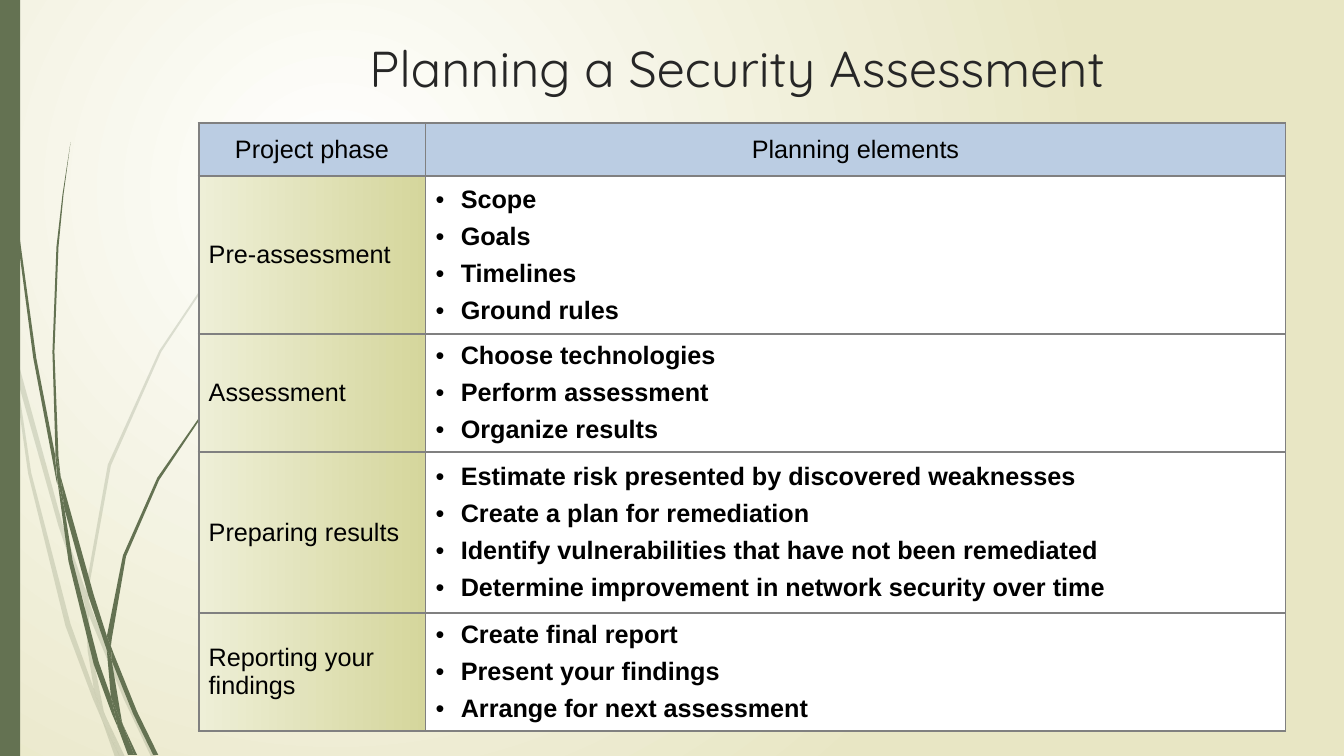
from pptx import Presentation
from pptx.dml.color import RGBColor as Rgb
from pptx.enum.shapes import MSO_SHAPE as Shape
from pptx.enum.text import MSO_ANCHOR as Anchor, PP_ALIGN as Align
from pptx.oxml import parse_xml as to_xml
from pptx.oxml.ns import nsdecls, qn
from pptx.util import Pt

PX = 9144  # EMU per px, 100 px to the inch
HUES = {
    "stem": "647252", "title": "262626", "text": "000000", "rule": "808080",
    "head": "BBCDE3", "cell": "FFFFFF", "pale": "EEEFD7", "olive": "D5D69C",
    "glow": "FFFFFF", "sand": "E8E6C4",
}
TITLE = {"size": Pt(36), "name": "Quicksand", "bold": False}
BODY = {"size": Pt(18), "name": "Arial", "bold": False}
ITEM = {**BODY, "bold": True}

COLS = [225, 853]
ROWS = [53, 150, 115, 159, 108]
PHASES = [
    ("Pre-assessment", ["Scope", "Goals", "Timelines", "Ground rules"]),
    ("Assessment", ["Choose technologies", "Perform assessment", "Organize results"]),
    ("Preparing results", [
        "Estimate risk presented by discovered weaknesses",
        "Create a plan for remediation",
        "Identify vulnerabilities that have not been remediated",
        "Determine improvement in network security over time"]),
    ("Reporting your findings", [
        "Create final report", "Present your findings", "Arrange for next assessment"]),
]

# Outlines of the grass, as x, y pairs in px
FAINT = [
    [11, 350, 9, 322, 0, 282, 0, 299, 10, 344],
    [58, 522, 84, 599, 85, 586, 62, 520, 14, 345, 17, 376],
    [92, 607, 88, 596, 88, 610, 123, 694, 150, 751, 155, 751, 127, 692],
    [119, 751, 124, 751, 105, 711],
    [93, 683, 70, 619, 31, 469, 17, 376, 11, 350, 28, 470, 65, 621, 92, 693, 101, 714, 99, 707],
    [84, 599, 87, 646, 93, 683, 96, 692, 105, 711, 103, 706, 91, 646, 88, 610, 88, 608],
    [88, 584, 110, 462, 160, 349, 229, 245, 268, 198, 290, 175, 312, 154, 312, 153, 289, 175,
     268, 197, 228, 244, 158, 348, 107, 461, 85, 584, 85, 586, 88, 596],
    [101, 714, 114, 751, 119, 751],
    [88, 608, 88, 610, 88, 596, 85, 586, 84, 599],
    [96, 692, 93, 683, 99, 707, 101, 714, 119, 751, 105, 711],
]
DARK = [
    [7, 110, 17, 233, 33, 355, 56, 477, 57, 481, 55, 457, 55, 453, 36, 355, 19, 232, 8, 109,
     5, 48, 4, 0, 3, 0, 4, 48],
    [88, 592, 106, 645, 106, 633, 106, 631, 93, 590, 60, 472, 64, 505],
    [113, 649, 110, 641, 111, 656, 132, 708, 152, 749, 157, 749, 136, 706],
    [110, 691, 98, 657, 72, 556, 64, 505, 57, 477, 68, 557, 93, 659, 111, 708, 117, 722, 116, 717],
    [60, 472, 58, 453, 54, 349, 58, 245, 63, 193, 70, 141, 62, 193, 56, 245, 52, 349, 55, 449],
    [133, 749, 136, 749, 122, 719],
    [57, 477, 64, 505, 60, 472, 55, 449, 55, 453],
    [111, 633, 125, 552, 158, 476, 205, 406, 231, 374, 245, 359, 261, 344, 260, 344, 245, 358,
     231, 373, 204, 405, 156, 474, 122, 551, 106, 631, 110, 641],
    [117, 722, 127, 749, 131, 749],
    [106, 645, 110, 691, 116, 706, 122, 719, 121, 716, 111, 656, 109, 651],
    [106, 645, 109, 651, 111, 656, 110, 641, 106, 631, 106, 633],
    [116, 706, 110, 691, 116, 717, 117, 722, 130, 749, 133, 749, 122, 719],
]


def rgb(hue):
    return Rgb.from_string(HUES[hue])


def xml(text):
    return to_xml(text.replace(" ", f" {nsdecls('a')} ", 1))


def paint(part, hue):
    part.fill.solid()
    part.fill.fore_color.rgb = rgb(hue)


def blend(fill, *hues):
    fill.gradient()
    for stop, hue in zip(fill.gradient_stops, hues):
        stop.color.rgb = rgb(hue)


def plain(shape):
    paint(shape, "stem")
    shape.line.fill.background()
    shape.shadow.inherit = False


def write(para, text, form, hue="text", align=Align.LEFT):
    para.alignment = align
    run = para.add_run()
    run.text = text
    for key, val in form.items():
        setattr(run.font, key, val)
    run.font.color.rgb = rgb(hue)


def glow(slide):
    blend(slide.background.fill, "glow", "sand")
    lin = slide.element.find(".//" + qn("a:lin"))
    lin.getparent().replace(lin, xml(
        '<a:path path="circle"><a:fillToRect l="50000" t="50000" r="100000" b="100000"/></a:path>'))


def grass(slide, blades, alpha=None):
    parts = []
    for nums in blades:
        pts = list(zip(nums[::2], nums[1::2]))
        pen = slide.shapes.build_freeform(*pts[0], scale=PX)
        pen.add_line_segments(pts[1:], close=True)
        blade = pen.convert_to_shape()
        plain(blade)
        if alpha:
            tint = blade.element.spPr.find(".//" + qn("a:srgbClr"))
            tint.append(xml(f'<a:alpha val="{alpha * 1000}"/>'))
        parts.append(blade)
    slide.shapes.add_group_shape(parts)


def bullet(para, first):
    props = para._p.get_or_add_pPr()
    props.set("marL", str(25 * PX))
    props.set("indent", str(-25 * PX))
    if not first:
        props.append(xml('<a:spcBef ><a:spcPct val="35000"/></a:spcBef>'))
    props.append(xml('<a:buFont typeface="Arial"/>'))
    props.append(xml('<a:buChar char="•"/>'))


def frame(cell):
    cell.vertical_anchor = Anchor.MIDDLE
    props = cell._tc.get_or_add_tcPr()
    for side in "LRTB":
        props.append(xml(f'<a:ln{side} w="{Pt(1.5)}"><a:solidFill>'
                         f'<a:srgbClr val="{HUES["rule"]}"/></a:solidFill></a:ln{side}>'))


def grid(slide):
    box = slide.shapes.add_table(len(ROWS), len(COLS), 197 * PX, 122 * PX, sum(COLS) * PX, 618 * PX)
    table = box.table
    for col, wide in zip(table.columns, COLS):
        col.width = wide * PX
    for row, high in zip(table.rows, ROWS):
        row.height = high * PX
    box.height = 618 * PX
    for cell in table.iter_cells():
        frame(cell)
    # Header row
    for cell, text in zip(table.rows[0].cells, ["Project phase", "Planning elements"]):
        paint(cell, "head")
        write(cell.text_frame.paragraphs[0], text, BODY, align=Align.CENTER)
    # Phase rows
    for num, (phase, items) in enumerate(PHASES, 1):
        left, right = table.rows[num].cells
        blend(left.fill, "pale", "olive")
        left.fill.gradient_angle = 0
        write(left.text_frame.paragraphs[0], phase, BODY)
        paint(right, "cell")
        text = right.text_frame
        for spot, item in enumerate(items):
            para = text.add_paragraph() if spot else text.paragraphs[0]
            bullet(para, spot == 0)
            write(para, item, ITEM)


def title(slide, text):
    box = slide.shapes.add_textbox(217 * PX, 32 * PX, 1028 * PX, 98 * PX)
    box.text_frame.word_wrap = True
    write(box.text_frame.paragraphs[0], text, TITLE, "title", Align.CENTER)


def main():
    deck = Presentation()
    deck.slide_width, deck.slide_height = 1333 * PX, 750 * PX
    slide = deck.slides.add_slide(deck.slide_layouts[6])
    # Backdrop
    glow(slide)
    grass(slide, FAINT, alpha=20)
    grass(slide, DARK)
    plain(slide.shapes.add_shape(Shape.RECTANGLE, 0, 0, 20 * PX, 750 * PX))
    # Content
    title(slide, "Planning a Security Assessment")
    grid(slide)
    deck.save("out.pptx")


if __name__ == "__main__":
    main()
